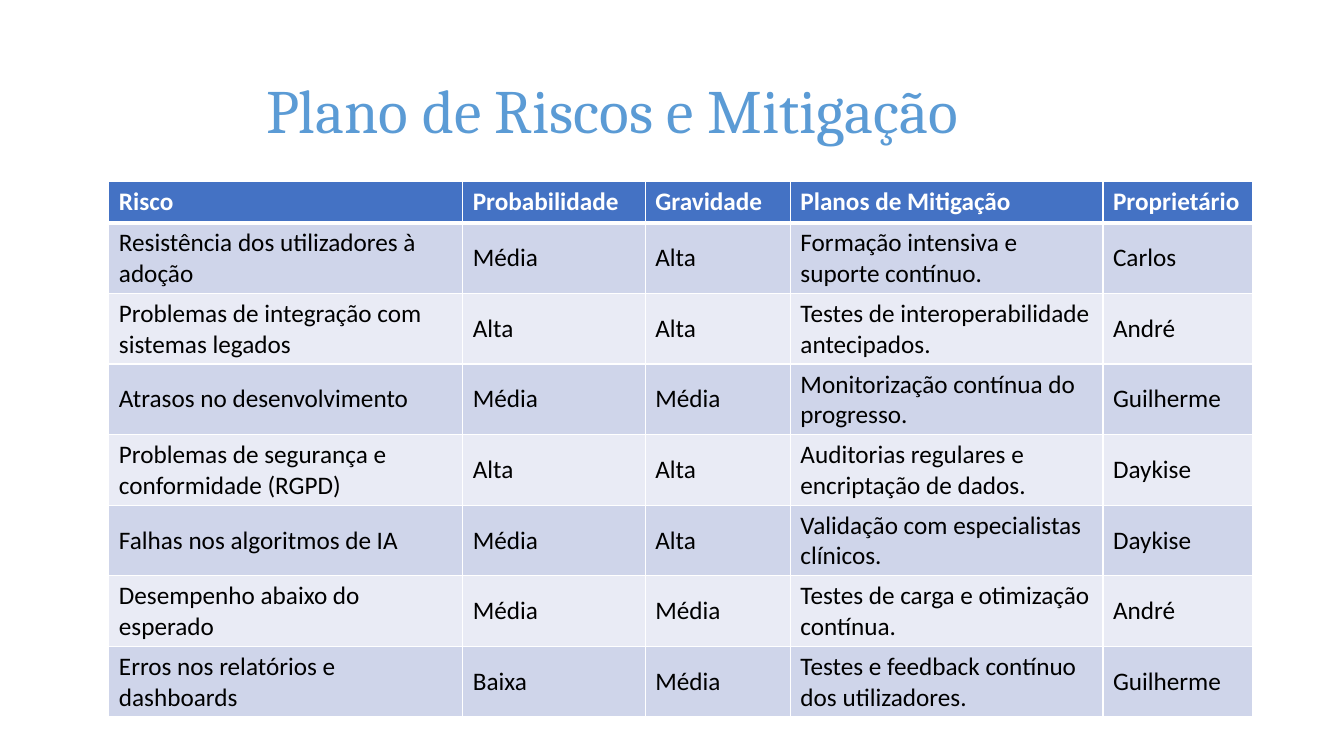
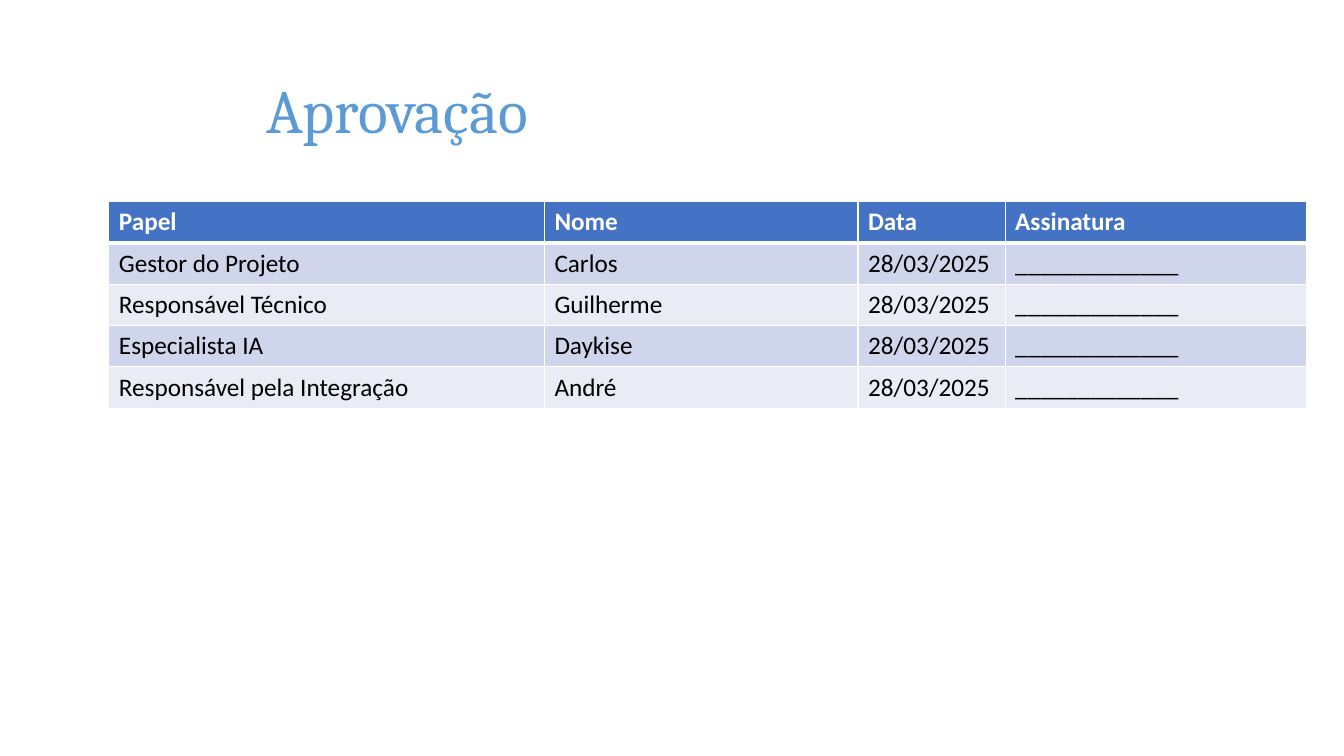
from lxml.etree import SubElement
from pptx import Presentation
from pptx.dml.color import RGBColor
from pptx.enum.text import MSO_ANCHOR
from pptx.oxml.ns import qn
from pptx.util import Inches, Pt

COLORS = {
    "title": "5B9BD5",
    "header": "4472C4",
    "odd_row": "CFD5EA",
    "even_row": "E9EBF5",
    "white": "FFFFFF",
    "black": "000000",
}
HEADER_HEIGHT = 0.41


class SlideBuilder:
    """Holds the shared style and the slide being filled."""

    title_font, title_size = "Cambria", Pt(44)
    table_font, table_size = "Calibri", Pt(18)
    table_left = 1.08

    def __init__(self, deck):
        self.deck = deck
        self.page = None

    def add_page(self, title):
        self.page = self.deck.slides.add_slide(self.deck.slide_layouts[6])
        box = self.page.shapes.add_textbox(
            Inches(2.54), Inches(0.4), Inches(9.88), Inches(1.45))
        frame = box.text_frame
        frame.word_wrap = True
        frame.vertical_anchor = MSO_ANCHOR.MIDDLE
        para = frame.paragraphs[0]
        para.text = title
        para.line_spacing = 0.9
        self.style_font(para.font, self.title_font, self.title_size, "title")

    def add_table(self, top, widths, body_height, rows):
        heights = [HEADER_HEIGHT] + [body_height] * (len(rows) - 1)
        table = self.page.shapes.add_table(
            len(rows), len(widths), Inches(self.table_left), Inches(top),
            Inches(sum(widths)), Inches(sum(heights))).table
        for column, width in zip(table.columns, widths):
            column.width = Inches(width)
        for row, height in zip(table.rows, heights):
            row.height = Inches(height)
        for row_index, texts in enumerate(rows):
            for column_index, text in enumerate(texts):
                self.fill_cell(table.cell(row_index, column_index), text, row_index)

    def fill_cell(self, cell, text, row_index):
        is_header = row_index == 0
        para = cell.text_frame.paragraphs[0]
        para.text = text
        self.style_font(para.font, self.table_font, self.table_size,
                        "white" if is_header else "black", is_header)
        cell.vertical_anchor = MSO_ANCHOR.TOP if is_header else MSO_ANCHOR.MIDDLE
        # A thick rule separates the header from the body
        self.add_border(cell, "L", 1)
        self.add_border(cell, "R", 1)
        self.add_border(cell, "T", 3 if row_index == 1 else 1)
        self.add_border(cell, "B", 3 if is_header else 1)
        band = "odd_row" if row_index % 2 else "even_row"
        cell.fill.solid()
        cell.fill.fore_color.rgb = RGBColor.from_string(
            COLORS["header" if is_header else band])

    @staticmethod
    def add_border(cell, side, points):
        properties = cell._tc.get_or_add_tcPr()
        line = SubElement(properties, qn(f"a:ln{side}"), w=str(Pt(points)))
        fill = SubElement(line, qn("a:solidFill"))
        SubElement(fill, qn("a:srgbClr"), val=COLORS["white"])

    @staticmethod
    def style_font(font, name, size, color, bold=False):
        font.name = name
        font.size = size
        font.bold = bold
        font.color.rgb = RGBColor.from_string(COLORS[color])


RISKS = [
    ("Risco", "Probabilidade", "Gravidade", "Planos de Mitigação", "Proprietário"),
    ("Resistência dos utilizadores à adoção", "Média", "Alta",
     "Formação intensiva e suporte contínuo.", "Carlos"),
    ("Problemas de integração com sistemas legados", "Alta", "Alta",
     "Testes de interoperabilidade antecipados.", "André"),
    ("Atrasos no desenvolvimento", "Média", "Média",
     "Monitorização contínua do progresso.", "Guilherme"),
    ("Problemas de segurança e conformidade (RGPD)", "Alta", "Alta",
     "Auditorias regulares e encriptação de dados.", "Daykise"),
    ("Falhas nos algoritmos de IA", "Média", "Alta",
     "Validação com especialistas clínicos.", "Daykise"),
    ("Desempenho abaixo do esperado", "Média", "Média",
     "Testes de carga e otimização contínua.", "André"),
    ("Erros nos relatórios e dashboards", "Baixa", "Média",
     "Testes e feedback contínuo dos utilizadores.", "Guilherme"),
]

APPROVERS = [
    ("Gestor do Projeto", "Carlos"),
    ("Responsável Técnico", "Guilherme"),
    ("Especialista IA", "Daykise"),
    ("Responsável pela Integração", "André"),
]
APPROVAL_DATE = "28/03/2025"
SIGNATURE_LINE = "_____________"


def main():
    deck = Presentation()
    deck.slide_width, deck.slide_height = Inches(13.33), Inches(7.5)
    builder = SlideBuilder(deck)

    # Risk plan
    builder.add_page("Plano de Riscos e Mitigação")
    builder.add_table(1.8, [3.51, 1.81, 1.44, 3.1, 1.48], 0.7, RISKS)

    # Approval
    builder.add_page("Aprovação")
    approvals = [("Papel", "Nome", "Data", "Assinatura")]
    approvals += [(role, name, APPROVAL_DATE, SIGNATURE_LINE)
                  for role, name in APPROVERS]
    builder.add_table(2, [4.32, 3.11, 1.46, 2.99], HEADER_HEIGHT, approvals)

    deck.save("out.pptx")


if __name__ == "__main__":
    main()
